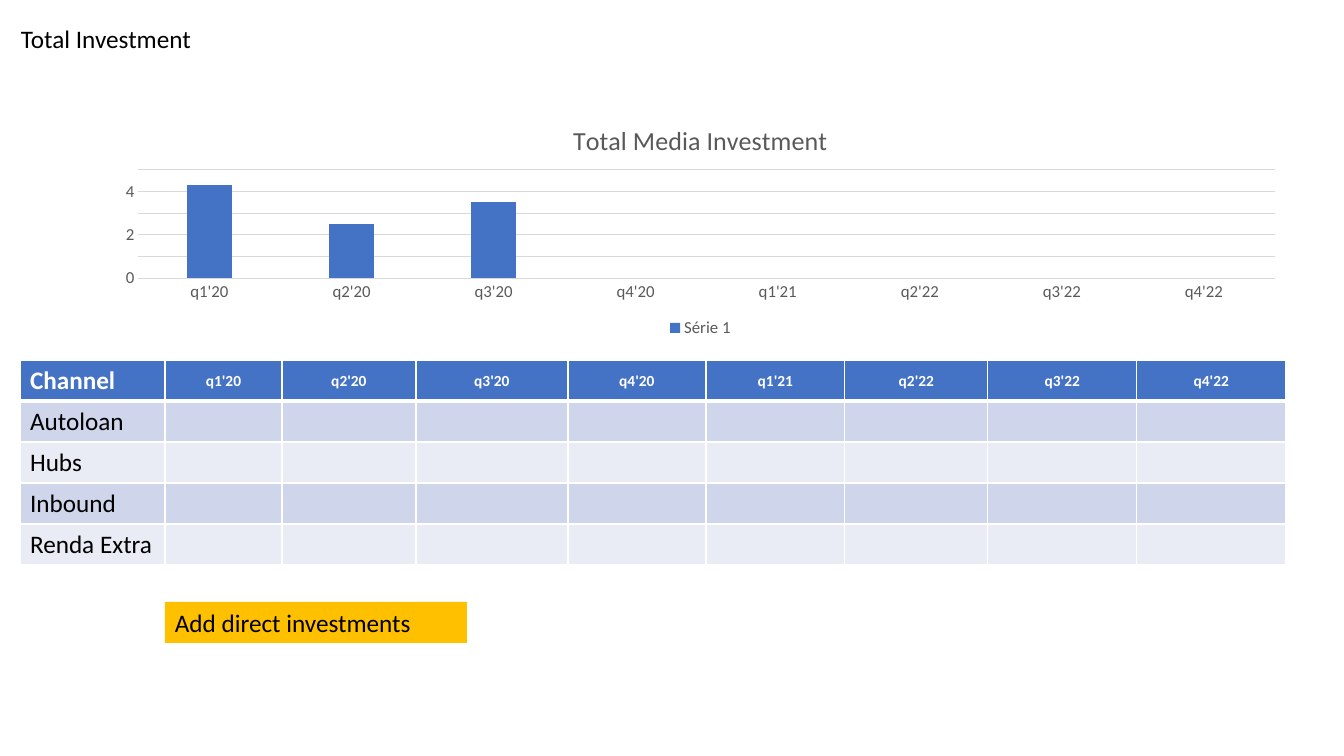
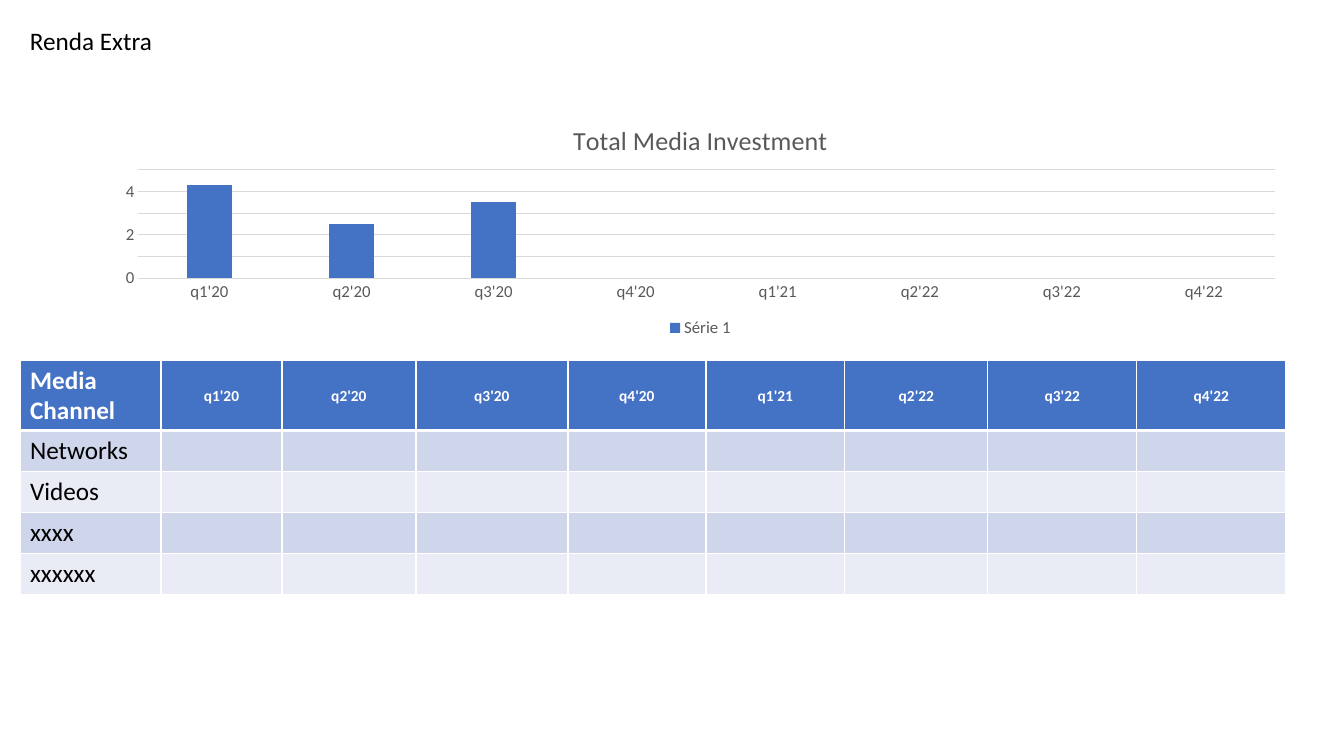
from lxml.etree import SubElement
from pptx import Presentation
from pptx.chart.data import CategoryChartData
from pptx.dml.color import RGBColor
from pptx.enum.chart import XL_CHART_TYPE, XL_LEGEND_POSITION, XL_TICK_MARK
from pptx.enum.text import MSO_ANCHOR, PP_ALIGN
from pptx.oxml.ns import qn
from pptx.util import Emu, Pt

EMU_PER_PX = 914400 / 100.8
BLACK, WHITE, GRAY, RULE = "000000", "FFFFFF", "595959", "D9D9D9"
BLUE, AMBER = "4472C4", "FFC000"
BANDS = ["CFD5EA", "E9EBF5"]
QUARTERS = ["q1'20", "q2'20", "q3'20", "q4'20", "q1'21", "q2'22", "q3'22", "q4'22"]
INVESTMENT = [4.3, 2.5, 3.5, None, None, None, None, None]
LATER_WIDTHS = [134, 152, 138, 139, 143, 149, 149]
ROW_HEIGHT = 41
QUARTER_CELL = {
    "vertical_anchor": MSO_ANCHOR.MIDDLE,
    "margin_left": Pt(1),
    "margin_right": Pt(1),
    "margin_top": Pt(1),
    "margin_bottom": 0,
}

rgb = RGBColor.from_string


def px(*lengths):
    return [Emu(round(length * EMU_PER_PX)) for length in lengths]


def style(font, size, color, bold=False):
    for name, value in {"name": "Calibri", "size": Pt(size), "bold": bold}.items():
        setattr(font, name, value)
    font.color.rgb = rgb(color)


pages = [
    {
        "labels": [
            ("Total Investment", 11, 18, 313, None),
            ("Add direct investments", 165, 602, 302, AMBER),
        ],
        "heading": "Channel",
        "heading_height": ROW_HEIGHT,
        "first_widths": [145, 117],
        "channels": ["Autoloan", "Hubs", "Inbound", "Renda Extra"],
    },
    {
        "labels": [("Renda Extra", 20, 20, 313, None)],
        "heading": "Media Channel",
        "heading_height": 70,
        "first_widths": [141, 121],
        "channels": ["Networks", "Videos", "xxxx", "xxxxxx"],
    },
]

deck = Presentation()
deck.slide_width, deck.slide_height = px(1344, 756)

for page in pages:
    slide = deck.slides.add_slide(deck.slide_layouts[6])

    for text, left, top, width, fill in page["labels"]:
        label = slide.shapes.add_textbox(*px(left, top, width, ROW_HEIGHT))
        label.text_frame.word_wrap = True
        label.text_frame.text = text
        style(label.text_frame.paragraphs[0].font, 18, BLACK)
        if fill:
            label.fill.solid()
            label.fill.fore_color.rgb = rgb(fill)

    data = CategoryChartData()
    data.categories = QUARTERS
    data.add_series("Série 1", INVESTMENT)
    chart = slide.shapes.add_chart(
        XL_CHART_TYPE.COLUMN_CLUSTERED, *px(102, 107, 1197, 235), data
    ).chart
    style(chart.font, 10, BLACK)
    chart.has_title = True
    chart.chart_title.include_in_layout = False
    chart.chart_title.text_frame.text = "Total Media Investment"
    style(chart.chart_title.text_frame.paragraphs[0].runs[0].font, 18.6, GRAY)
    chart.has_legend = True
    chart.legend.position = XL_LEGEND_POSITION.BOTTOM
    chart.legend.include_in_layout = False
    style(chart.legend.font, 12, GRAY)

    for axis in (chart.category_axis, chart.value_axis):
        axis.major_tick_mark = axis.minor_tick_mark = XL_TICK_MARK.NONE
        style(axis.tick_labels.font, 12, GRAY)
    chart.value_axis.format.line.fill.background()
    for line in (
        chart.category_axis.format.line,
        chart.value_axis.major_gridlines.format.line,
    ):
        line.width = Pt(0.75)
        line.color.rgb = rgb(RULE)

    columns = chart.plots[0]
    for name, value in {"gap_width": 219, "overlap": -27, "vary_by_categories": False}.items():
        setattr(columns, name, value)
    columns.series[0].format.fill.solid()
    columns.series[0].format.fill.fore_color.rgb = rgb(BLUE)

    rows = [[page["heading"]] + QUARTERS]
    rows += [[channel] + [""] * len(QUARTERS) for channel in page["channels"]]
    widths = page["first_widths"] + LATER_WIDTHS
    heights = [page["heading_height"]] + [ROW_HEIGHT] * len(page["channels"])
    table = slide.shapes.add_table(
        len(rows), len(widths), *px(20, 360, sum(widths), sum(heights))
    ).table
    for column, width in zip(table.columns, px(*widths)):
        column.width = width
    for row, height in zip(table.rows, px(*heights)):
        row.height = height

    for r, texts in enumerate(rows):
        for c, text in enumerate(texts):
            cell = table.cell(r, c)
            header = r == 0
            quarter = header and c > 0
            thick_side = {0: "lnB", 1: "lnT"}.get(r)
            properties = cell._tc.get_or_add_tcPr()
            for side in ("lnL", "lnR", "lnT", "lnB"):
                weight = Pt(3 if side == thick_side else 1)
                border = SubElement(properties, qn(f"a:{side}"), w=str(weight))
                SubElement(SubElement(border, qn("a:solidFill")), qn("a:srgbClr"), val=WHITE)
            cell.fill.solid()
            cell.fill.fore_color.rgb = rgb(BLUE if header else BANDS[(r - 1) % 2])
            cell.text = text
            paragraph = cell.text_frame.paragraphs[0]
            style(paragraph.font, 11 if quarter else 18, WHITE if header else BLACK, header)
            if quarter:
                paragraph.alignment = PP_ALIGN.CENTER
                for name, value in QUARTER_CELL.items():
                    setattr(cell, name, value)

deck.save("out.pptx")
